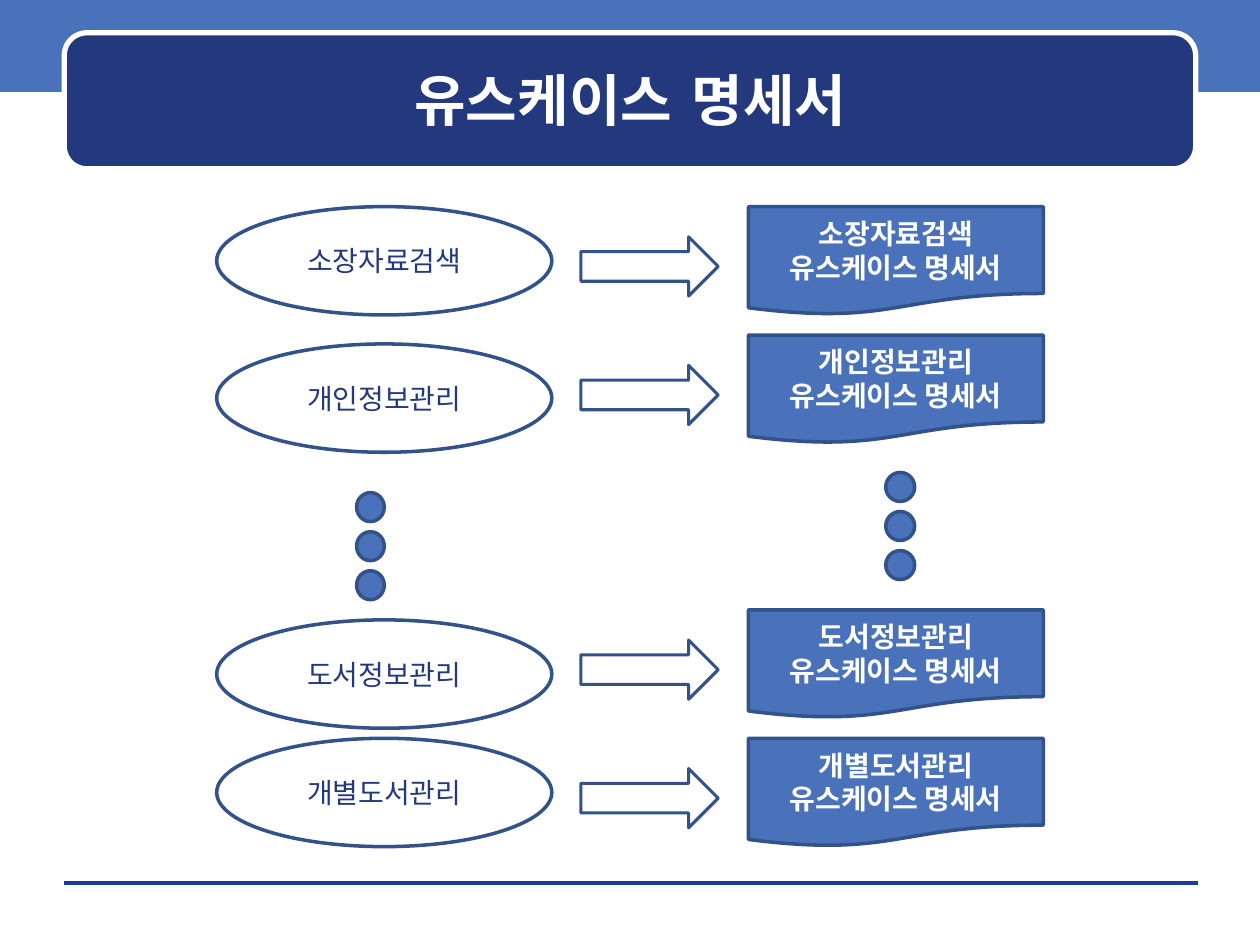
from lxml import etree
from pptx import Presentation
from pptx import util as u
from pptx.dml.color import RGBColor
from pptx.enum import shapes, text
from pptx.oxml.ns import qn

# The slide is a grid of 1000 columns and 750 rows.
COLUMNS, ROWS = 1000, 750
CELL = u.Inches(0.01)

COLORS = {
    "band": "4972BB",
    "navy": "23387D",
    "outline": "335289",
    "rule": "1A3D97",
    "white": "FFFFFF",
}
TITLE_FONT = "DejaVu Sans"
BODY_FONT = "Noto Sans CJK KR"

ITEM_HEIGHT = 86
USE_CASE_LEFT, USE_CASE_WIDTH = 172, 266
ARROW_LEFT, ARROW_WIDTH, ARROW_HEIGHT = 461, 109, 47
DOCUMENT_LEFT, DOCUMENT_WIDTH = 594, 234
DOT_STEP = 31

# Name, row of the use case, row of its document
USE_CASES = [
    ("소장자료검색", 164, 164),
    ("개인정보관리", 273, 266),
    ("도서정보관리", 492, 484),
    ("개별도서관리", 586, 586),
]


def color(name):
    return RGBColor.from_string(COLORS[name])


def box(left, top, width, height):
    return [CELL * cells for cells in (left, top, width, height)]


def format_text(text_frame, font_name, size, color_name, bold=False):
    """Centre every paragraph and style its runs, Hangul included."""
    text_frame.vertical_anchor = text.MSO_ANCHOR.MIDDLE
    for paragraph in text_frame.paragraphs:
        paragraph.alignment = text.PP_ALIGN.CENTER
        for run in paragraph.runs:
            run.font.name = font_name
            run.font.size = u.Pt(size)
            run.font.bold = bold
            run.font.color.rgb = color(color_name)
            latin = run.font._element.find(qn("a:latin"))
            east_asian = etree.Element(qn("a:ea"), typeface=font_name)
            latin.addnext(east_asian)


def add_figure(parent, kind, bounds, fill=None, line=None, line_width=2):
    """Add a preset shape to a slide or a group."""
    shape = parent.shapes.add_shape(kind, *box(*bounds))
    shape.shadow.inherit = False
    if fill:
        shape.fill.solid()
        shape.fill.fore_color.rgb = color(fill)
    else:
        shape.fill.background()
    if line:
        shape.line.color.rgb = color(line)
        shape.line.width = u.Pt(line_width)
    else:
        shape.line.fill.background()
    return shape


def add_footer_rule(slide):
    rule = slide.shapes.add_connector(
        shapes.MSO_CONNECTOR.STRAIGHT,
        CELL * 51, CELL * 701, CELL * 951, CELL * 701)
    rule.line.color.rgb = color("rule")
    rule.line.width = u.Pt(0)
    etree.SubElement(rule._element.spPr, qn("a:effectLst"))
    return rule


def add_header(slide, words):
    title = slide.shapes.title
    band = add_figure(slide, shapes.MSO_SHAPE.RECTANGLE,
                      (0, -3, COLUMNS, 76), "band")
    rule = add_footer_rule(slide)
    panel = add_figure(slide, shapes.MSO_SHAPE.ROUNDED_RECTANGLE,
                       (51, 26, 898, 108), "navy", "white", 3)
    for backdrop in (band, rule, panel):
        title.element.addprevious(backdrop.element)

    title.left, title.top, title.width, title.height = box(60, 35, 881, 88)
    title.text_frame.text = words
    format_text(title.text_frame, TITLE_FONT, 32, "white", bold=True)


def add_use_case(slide, name, top):
    ellipse = add_figure(
        slide, shapes.MSO_SHAPE.OVAL,
        (USE_CASE_LEFT, top, USE_CASE_WIDTH, ITEM_HEIGHT), line="outline")
    frame = ellipse.text_frame
    frame.margin_left = frame.margin_right = 0
    frame.text = name
    format_text(frame, BODY_FONT, 16, "navy")


def add_document(slide, name, top):
    document = add_figure(
        slide, shapes.MSO_SHAPE.FLOWCHART_DOCUMENT,
        (DOCUMENT_LEFT, top, DOCUMENT_WIDTH, ITEM_HEIGHT), "band", "outline")
    document.text_frame.text = f"{name}\n유스케이스 명세서"
    format_text(document.text_frame, BODY_FONT, 16, "white", bold=True)


def add_arrow(slide, document_top):
    top = document_top + 24
    add_figure(slide, shapes.MSO_SHAPE.RIGHT_ARROW,
               (ARROW_LEFT, top, ARROW_WIDTH, ARROW_HEIGHT),
               line="outline", line_width=1.75)


def add_vertical_dots(slide, left, top, width):
    group = slide.shapes.add_group_shape()
    for index in range(3):
        add_figure(group, shapes.MSO_SHAPE.OVAL,
                   (left, top + index * DOT_STEP, width, 23),
                   "band", "outline")


def main():
    presentation = Presentation()
    presentation.slide_width = CELL * COLUMNS
    presentation.slide_height = CELL * ROWS
    slide = presentation.slides.add_slide(presentation.slide_layouts[5])

    add_header(slide, "유스케이스 명세서")
    for name, use_case_top, document_top in USE_CASES:
        add_use_case(slide, name, use_case_top)
        add_arrow(slide, document_top)
        add_document(slide, name, document_top)
    add_vertical_dots(slide, 283, 391, 22)
    add_vertical_dots(slide, 703, 375, 23)

    presentation.save("out.pptx")


if __name__ == "__main__":
    main()
